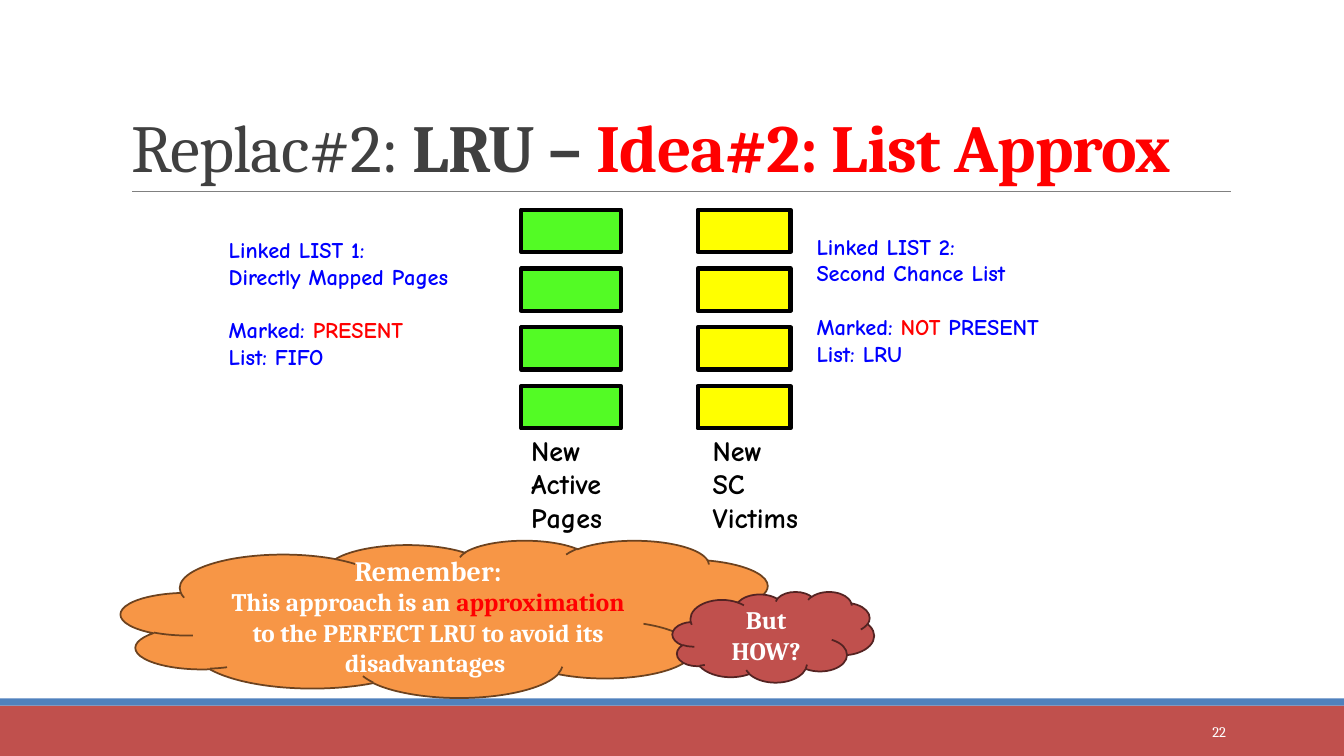
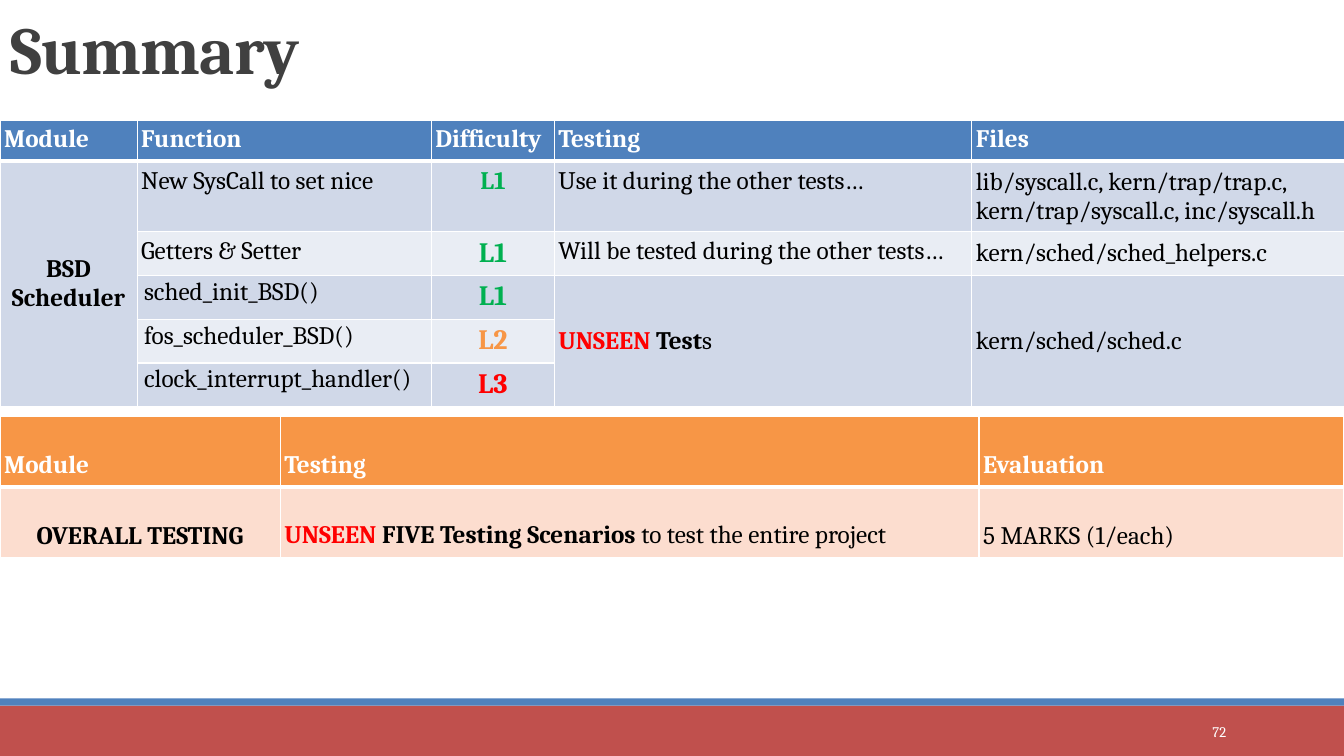
from lxml import etree
from pptx import Presentation
from pptx.dml.color import RGBColor
from pptx.enum.shapes import MSO_CONNECTOR, MSO_SHAPE
from pptx.enum.text import MSO_ANCHOR, MSO_AUTO_SIZE, PP_ALIGN
from pptx.oxml.ns import qn
from pptx.util import Inches, Pt

SERIF, COMIC = "Cambria", "Comic Neue"
WHITE, BLACK, DARK, GREY = "FFFFFF", "000000", "404040", "808080"
RED, BRICK, BLUE, LINK_BLUE = "FF0000", "C0504D", "4F81BD", "0000FF"
ORANGE, GREEN, LIME, YELLOW = "F79646", "00B050", "53FB25", "FFFF00"
BAND_DARK, BAND_LIGHT, PEACH = "D0D8E8", "E9EDF4", "FCDDCF"


def rgb(value):
    """Turn a hex string into a colour."""
    return RGBColor.from_string(value)


def add_runs(p, runs, size, font=SERIF):
    """Add (text, colour, bold[, size]) runs to a paragraph."""
    for text, color, bold, *own_size in runs:
        r = p.add_run()
        r.text = text
        r.font.name = font
        r.font.size = Pt(own_size[0] if own_size else size)
        r.font.bold = bold
        r.font.color.rgb = rgb(color)


def fill_frame(tf, paragraphs, size, font=SERIF, align=PP_ALIGN.LEFT):
    """Write one paragraph for each list of runs."""
    for i, runs in enumerate(paragraphs):
        p = tf.add_paragraph() if i else tf.paragraphs[0]
        p.alignment = align
        add_runs(p, runs, size, font)


def add_box(slide, kind, box, fill, line=None, width=0):
    """Add a filled preset shape."""
    sp = slide.shapes.add_shape(kind, *map(Inches, box))
    sp.shadow.inherit = False
    sp.fill.solid()
    sp.fill.fore_color.rgb = rgb(fill)
    if line:
        sp.line.color.rgb = rgb(line)
        sp.line.width = Pt(width)
    else:
        sp.line.fill.background()
    return sp


def add_rule(slide, x1, x2, y):
    """Add a thin horizontal line."""
    line = slide.shapes.add_connector(
        MSO_CONNECTOR.STRAIGHT, *map(Inches, (x1, y, x2, y)))
    line.line.color.rgb = rgb(GREY)
    line.line.width = Pt(0.5)
    etree.SubElement(line.element.spPr, qn("a:effectLst"))
    return line


def add_text(slide, box, paragraphs, size, font=SERIF, align=PP_ALIGN.LEFT, wrap=True):
    """Add a text box and return its frame."""
    tf = slide.shapes.add_textbox(*map(Inches, box)).text_frame
    tf.word_wrap = wrap
    fill_frame(tf, paragraphs, size, font, align)
    return tf


def add_cloud(slide, box, fill, line, paragraphs):
    """Add a cloud with centred text."""
    tf = add_box(slide, MSO_SHAPE.CLOUD, box, fill, line, 1.25).text_frame
    tf.word_wrap = True
    tf.vertical_anchor = MSO_ANCHOR.MIDDLE
    fill_frame(tf, paragraphs, 18, align=PP_ALIGN.CENTER)


def add_list_note(slide, box, paragraphs):
    """Add a list description whose third line opens a new group."""
    tf = add_text(slide, box, paragraphs, 16, COMIC)
    tf.auto_size = MSO_AUTO_SIZE.SHAPE_TO_FIT_TEXT
    tf.paragraphs[2].space_before = Pt(19.2)


def add_page_column(slide, left, width, fill, caption_box, words):
    """Add a column of four page frames with a caption below."""
    for i in range(4):
        box = (left, 2.08 + i * 1.75 / 3, width, 0.42)
        add_box(slide, MSO_SHAPE.RECTANGLE, box, fill, BLACK, 3)
    lines = [[(word, BLACK, True)] for word in words]
    tf = add_text(slide, caption_box, lines, 20, COMIC, wrap=False)
    tf.auto_size = MSO_AUTO_SIZE.SHAPE_TO_FIT_TEXT


def add_border(cell, side, width):
    """Draw one white edge of a cell."""
    ln = etree.SubElement(cell._tc.get_or_add_tcPr(), qn(f"a:ln{side}"), w=str(Pt(width)))
    fill = etree.SubElement(ln, qn("a:solidFill"))
    etree.SubElement(fill, qn("a:srgbClr"), val=WHITE)


def style_cell(cell, fill, runs, align, anchor, header):
    """Set the edges, fill and text of a cell."""
    for side in "LRTB":
        add_border(cell, side, 3 if header and side == "B" else 1)
    cell.fill.solid()
    cell.fill.fore_color.rgb = rgb(fill)
    cell.margin_left = cell.margin_right = Inches(0.04)
    cell.margin_top = cell.margin_bottom = Inches(0.05)
    cell.vertical_anchor = anchor
    if runs:
        fill_frame(cell.text_frame, [runs], 18, align=align)


def add_grid(slide, top, cols, heights, header, rows, fills, centered, middle, merges=()):
    """Add a table with a header row and return it."""
    frame = slide.shapes.add_table(
        len(heights), len(cols), 0, Inches(top), Inches(sum(cols)), Inches(sum(heights)))
    table = frame.table
    table.horz_banding = False
    for column, width in zip(table.columns, cols):
        column.width = Inches(width)
    for row, height in zip(table.rows, heights):
        row.height = Inches(height)
    for first, last in merges:
        table.cell(*first).merge(table.cell(*last))
    content = [[[(name, WHITE, True)] for name in header]] + rows
    for y, row in enumerate(content):
        for x, runs in enumerate(row):
            cell = table.cell(y, x)
            is_middle = y and (x in middle or cell.is_merge_origin)
            style_cell(cell, fills[y], runs,
                       PP_ALIGN.CENTER if y and x in centered else PP_ALIGN.LEFT,
                       MSO_ANCHOR.MIDDLE if is_middle else MSO_ANCHOR.TOP, y == 0)
    return table


def add_slide(prs, title_box, title_runs, number):
    """Add a slide with its title and page number."""
    slide = prs.slides.add_slide(prs.slide_layouts[5])
    title = slide.shapes.title
    title.left, title.top, title.width, title.height = map(Inches, title_box)
    tf = title.text_frame
    tf.auto_size = MSO_AUTO_SIZE.NONE
    tf.vertical_anchor = MSO_ANCHOR.BOTTOM
    fill_frame(tf, [title_runs], 48)
    p = tf.paragraphs[0]
    p.line_spacing = 0.85
    for r in p.runs:
        r.font._element.set("spc", "-50")
    number_tf = add_text(slide, (10.83, 7.06, 1.43, 0.4),
                         [[(number, WHITE, False)]], 10.5, align=PP_ALIGN.RIGHT)
    number_tf.vertical_anchor = MSO_ANCHOR.MIDDLE
    return slide


def decorate_master(prs, slide):
    """Place the footer bands and the title rule on the master."""
    parts = [
        add_box(slide, MSO_SHAPE.RECTANGLE, (0, 7, 13.33, 0.5), BRICK),
        add_box(slide, MSO_SHAPE.RECTANGLE, (0, 6.93, 13.33, 0.07), BLUE),
        add_rule(slide, 1.31, 12.21, 1.9),
    ]
    for part in parts:
        prs.slide_master.shapes.element.append(part.element)


def build_lru(prs):
    """Build the slide on the list approximation of LRU."""
    slide = add_slide(prs, (1.2, 0.31, 11, 1.59), [
        ("Replac#2: ", DARK, False), ("LRU – ", DARK, True),
        ("Idea#2: List Approx", RED, True)], "22")
    decorate_master(prs, slide)
    add_page_column(slide, 6.92, 0.92, YELLOW, (6.97, 4.25, 1.18, 1.11),
                    ("New", "SC", "Victims"))
    add_page_column(slide, 5.17, 0.99, LIME, (5.17, 4.25, 1.05, 1.11),
                    ("New", "Active", "Pages"))
    add_list_note(slide, (2.17, 2.29, 2.82, 1.44), [
        [("Linked LIST 1:", LINK_BLUE, True)],
        [("Directly Mapped Pages", LINK_BLUE, True)],
        [("Marked: ", LINK_BLUE, True), ("PRESENT", RED, True)],
        [("List: FIFO", LINK_BLUE, True)]])
    add_list_note(slide, (8, 2.26, 3.42, 1.44), [
        [("Linked LIST 2:", LINK_BLUE, True)],
        [("Second Chance List", LINK_BLUE, True)],
        [("Marked: ", LINK_BLUE, True), ("NOT", RED, True), (" PRESENT", LINK_BLUE, True)],
        [("List: LRU", LINK_BLUE, True)]])
    add_cloud(slide, (1.2, 5.36, 6.56, 1.56), ORANGE, "6C421F", [
        [("Remember:", WHITE, True, 20)],
        [("This approach is an ", WHITE, True), ("approximation", RED, True),
         (" to the PERFECT LRU to avoid its disadvantages ", WHITE, True)]])
    add_cloud(slide, (6.67, 5.87, 2, 0.9), BRICK, "542322", [[("But HOW?", WHITE, True)]])


def build_summary(prs):
    """Build the summary slide with its two tables."""
    slide = add_slide(prs, (0, 0.01, 11, 0.92), [("Summary", DARK, True)], "72")

    def plain(text):
        return [(text, BLACK, False)]

    def level(text, color, size=20):
        return [(text, color, True, size)]

    modules = add_grid(
        slide, 1.19, (1.36, 2.92, 1.22, 4.14, 3.7), (0.41, 0.68, 0.41, 0.41, 0.41, 0.41),
        ("Module", "Function", "Difficulty", "Testing", "Files"),
        [
            [[("BSD Scheduler", BLACK, True)], plain("New SysCall to set nice"),
             level("L1", GREEN, 18), plain("Use it during the other tests…"),
             plain("lib/syscall.c, kern/trap/trap.c, kern/trap/syscall.c, inc/syscall.h")],
            [None, plain("Getters & Setter"), level("L1", GREEN),
             plain("Will be tested during the other tests…"),
             plain("kern/sched/sched_helpers.c")],
            [None, plain("sched_init_BSD()"), level("L1", GREEN),
             [("UNSEEN ", RED, True), ("Test", BLACK, True), ("s", BLACK, False)],
             plain("kern/sched/sched.c")],
            [None, plain("fos_scheduler_BSD()"), level("L2", ORANGE), None, None],
            [None, plain("clock_interrupt_handler()"), level("L3", RED), None, None],
        ],
        (BLUE, BAND_DARK, BAND_LIGHT, BAND_DARK, BAND_LIGHT, BAND_DARK),
        centered=(0, 2), middle=(0, 4),
        merges=(((1, 0), (5, 0)), ((3, 3), (5, 3)), ((3, 4), (5, 4))))
    for y in range(3, 6):
        cell = modules.cell(y, 1)
        cell.margin_left = cell.margin_right = Inches(0.07)
        cell.margin_top = cell.margin_bottom = 0
        p = cell.text_frame.paragraphs[0]
        p.line_spacing, p.space_after = 1.07, Pt(8)

    overall = add_grid(
        slide, 4.13, (2.78, 6.93, 3.62), (0.6, 0.6), ("Module", "Testing", "Evaluation"),
        [[[("OVERALL TESTING", BLACK, True)],
          [("UNSEEN ", RED, True), ("FIVE Testing Scenarios ", BLACK, True),
           ("to test the entire project", BLACK, False)],
          plain("5 MARKS (1/each)")]],
        (ORANGE, PEACH), centered=(0,), middle=(0, 2))
    for cell in overall.iter_cells():
        p = cell.text_frame.paragraphs[0]
        p.line_spacing, p.space_before, p.space_after = 2.0, Pt(12), Pt(12)


def main():
    """Build and save the presentation."""
    prs = Presentation()
    prs.slide_width, prs.slide_height = Inches(13.33), Inches(7.5)
    build_lru(prs)
    build_summary(prs)
    prs.save("out.pptx")


if __name__ == "__main__":
    main()
